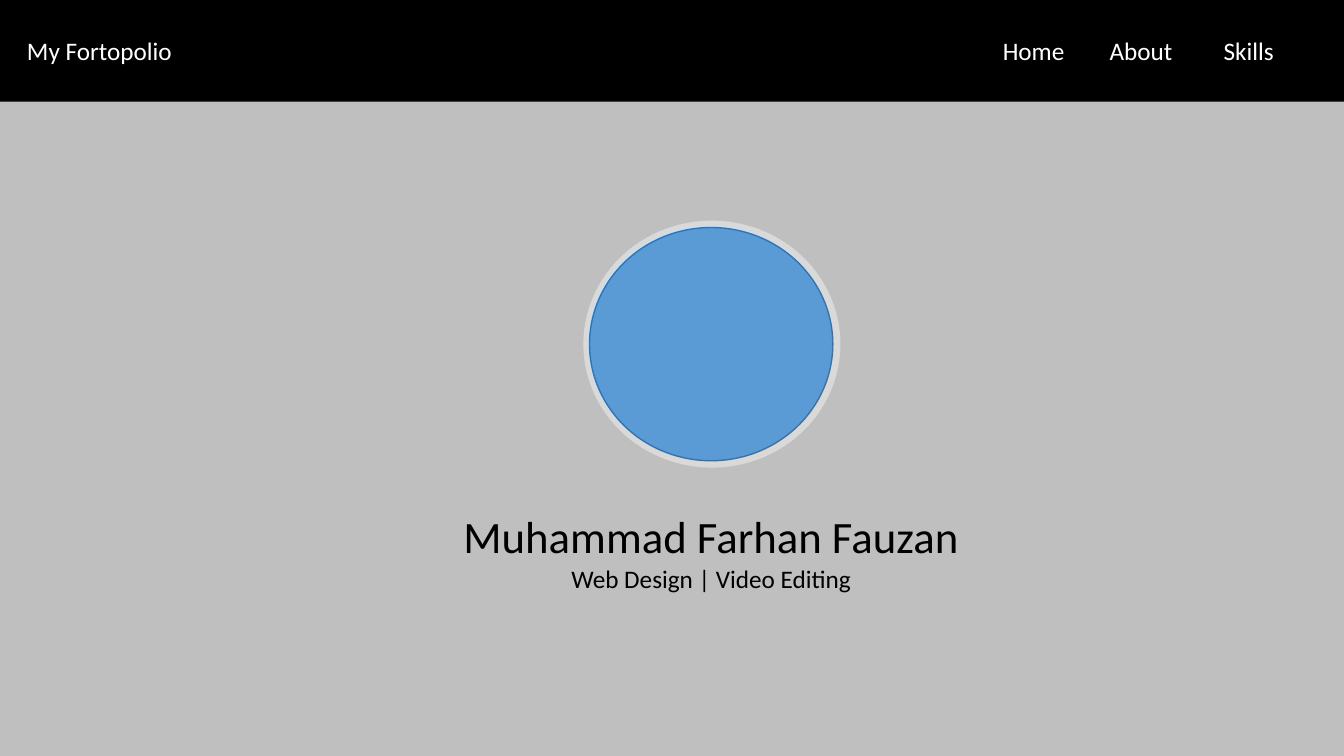
"""Build the opening slide of a personal portfolio."""
from dataclasses import dataclass

from pptx import Presentation
from pptx.dml.color import RGBColor
from pptx.enum.shapes import MSO_SHAPE
from pptx.enum.text import MSO_ANCHOR, MSO_AUTO_SIZE, PP_ALIGN
from pptx.util import Pt


@dataclass(frozen=True)
class Theme:
    """Colours, font and type sizes of the slide."""
    page: str = "BFBFBF"
    bar: str = "000000"
    ring: str = "D9D9D9"
    disc: str = "5B9BD5"
    disc_line: str = "2E75B6"
    dark: str = "000000"
    light: str = "FFFFFF"
    font: str = "Calibri"
    name_size: int = 32
    text_size: int = 18


THEME = Theme()
WIDTH, HEIGHT = 960, 540
NAV = [("Home", 709.2, 59), ("About", 785.5, 64), ("Skills", 866.9, 59)]


def set_attrs(obj, values):
    """Set each named attribute of an object."""
    for name, value in values.items():
        setattr(obj, name, value)


def place(sp, left, top, width, height):
    """Move and size a shape, in points."""
    box = {"left": left, "top": top, "width": width, "height": height}
    set_attrs(sp, {name: Pt(value) for name, value in box.items()})


def fill_solid(fill, color):
    """Give a fill one plain colour."""
    fill.solid()
    fill.fore_color.rgb = RGBColor.from_string(color)


def add_block(slide, kind, box, color, line=None):
    """Add a flat preset shape with an optional thin outline."""
    sp = slide.shapes.add_shape(kind, *map(Pt, box))
    sp.shadow.inherit = False
    fill_solid(sp.fill, color)
    if line:
        fill_solid(sp.line.fill, line)
        sp.line.width = Pt(1)
    else:
        sp.line.fill.background()


def write(sp, text, size, color, align=PP_ALIGN.LEFT, top=3.6, bottom=3.6):
    """Put one formatted line of text in a shape."""
    tf = sp.text_frame
    set_attrs(tf, {"word_wrap": True, "auto_size": MSO_AUTO_SIZE.NONE,
                   "vertical_anchor": MSO_ANCHOR.TOP,
                   "margin_left": Pt(7.2), "margin_right": Pt(7.2),
                   "margin_top": Pt(top), "margin_bottom": Pt(bottom)})
    p = tf.paragraphs[0]
    set_attrs(p, {"alignment": align, "space_before": Pt(0)})
    r = p.add_run()
    r.text = text
    set_attrs(r.font, {"name": THEME.font, "size": Pt(size), "bold": False})
    r.font.color.rgb = RGBColor.from_string(color)


def add_label(slide, text, left, width):
    """Add a label to the navigation bar."""
    sp = slide.shapes.add_textbox(Pt(left), Pt(21.8), Pt(width), Pt(29))
    write(sp, text, THEME.text_size, THEME.light)


def main():
    """Build and save the slide."""
    prs = Presentation()
    set_attrs(prs, {"slide_width": Pt(WIDTH), "slide_height": Pt(HEIGHT)})
    slide = prs.slides.add_slide(prs.slide_layouts[0])
    fill_solid(slide.background.fill, THEME.page)

    title, subtitle = slide.placeholders
    place(title, 256, 360, 504, 42.6)
    write(title, "Muhammad Farhan Fauzan", THEME.name_size, THEME.dark,
          PP_ALIGN.CENTER, bottom=0)
    place(subtitle, 256, 402.6, 504, 25.6)
    write(subtitle, "Web Design | Video Editing", THEME.text_size, THEME.dark,
          PP_ALIGN.CENTER, top=0)

    add_block(slide, MSO_SHAPE.RECTANGLE, (0, -0.7, WIDTH, 73.4), THEME.bar)
    add_block(slide, MSO_SHAPE.OVAL, (416.7, 157.6, 183.6, 176.4), THEME.ring)
    add_block(slide, MSO_SHAPE.OVAL, (421.1, 162.5, 173.8, 166.6),
              THEME.disc, THEME.disc_line)

    add_label(slide, "My Fortopolio", 12.2, 123)
    for text, left, width in NAV:
        add_label(slide, text, left, width)
    prs.save("out.pptx")


if __name__ == "__main__":
    main()
